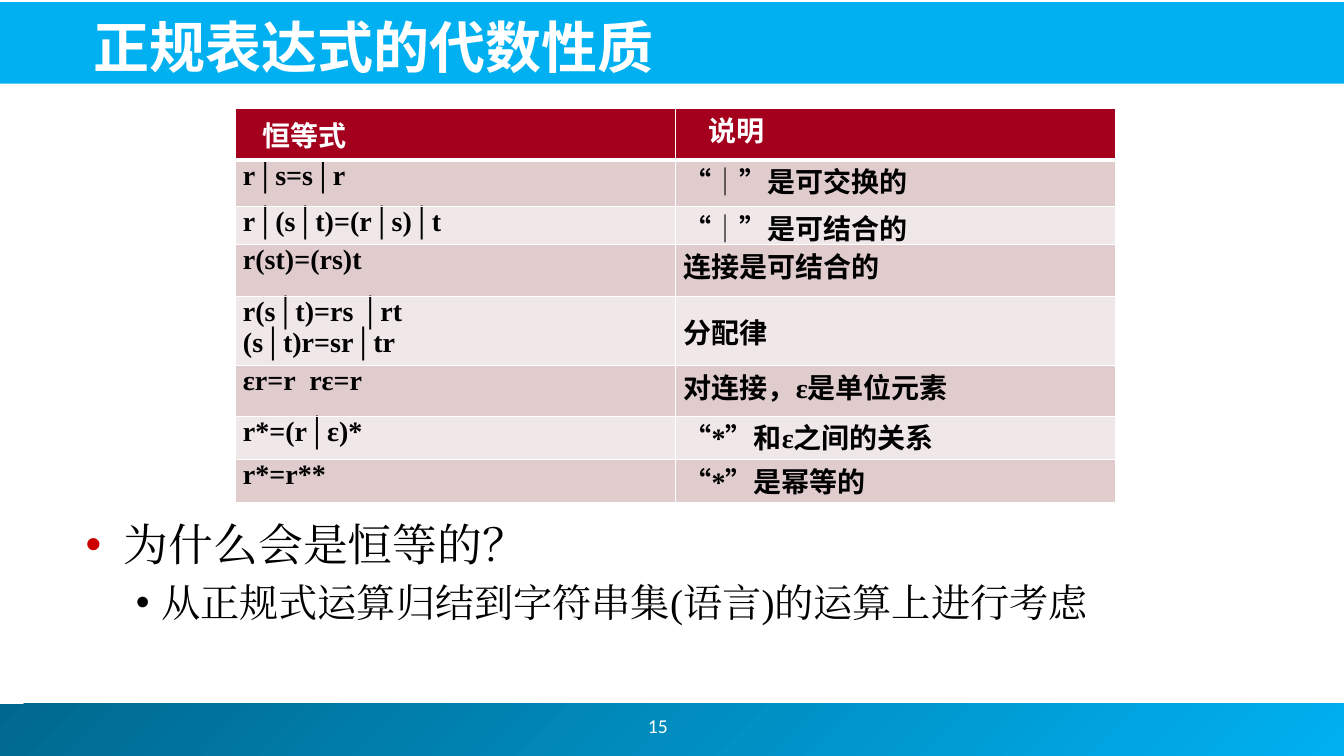
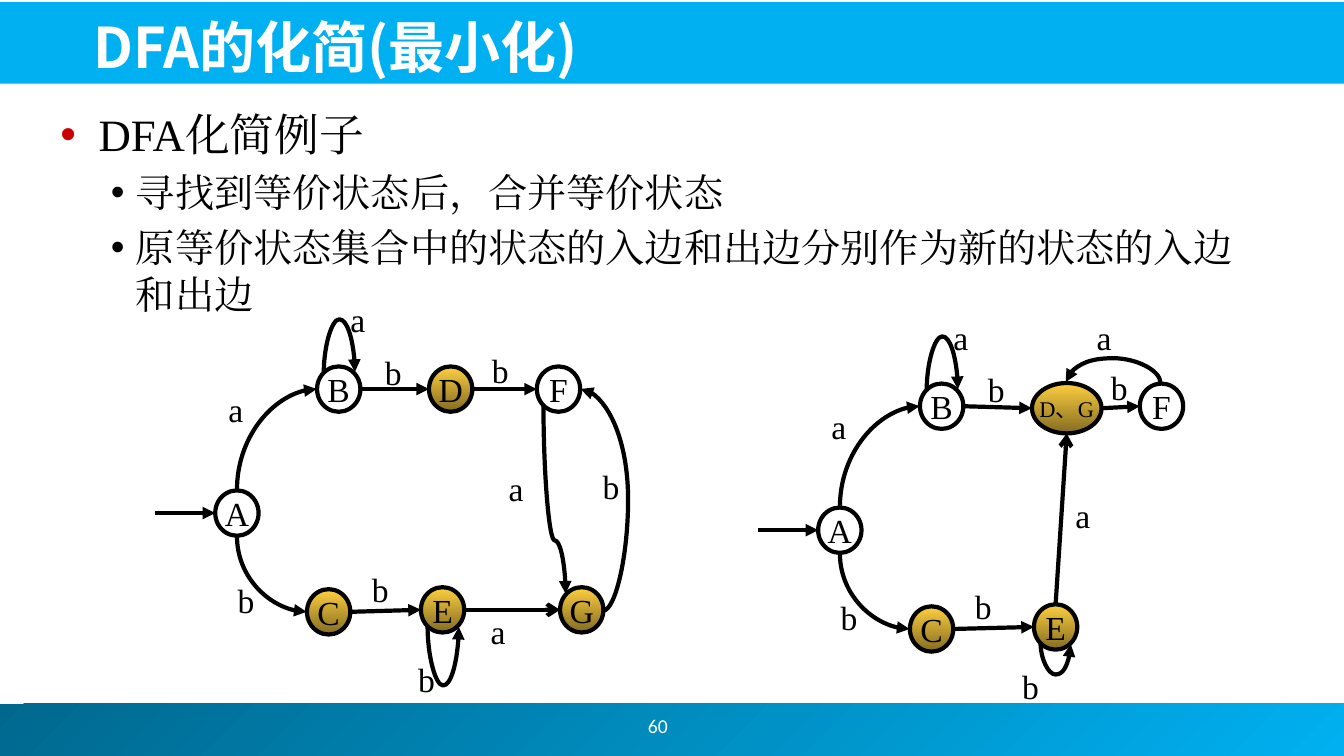
"""Build two lecture slides: a table of regular expression laws and a DFA minimisation example."""
from lxml import etree
from pptx import Presentation
from pptx import util as u
from pptx.dml import color as dml
from pptx.enum import shapes, text
from pptx.oxml import ns

BLACK, WHITE, BLUE, RED = "000000", "FFFFFF", "00B0F0", "CC0000"
SERIF, SANS = "Times New Roman", "Noto Sans CJK JP"
NODE_WIDTH, NODE_HEIGHT = 4.3, 4.5

presentation = Presentation()
presentation.slide_width = u.Inches(13.33)
presentation.slide_height = u.Inches(7.5)
column = presentation.slide_width / 133.3
row = presentation.slide_height / 75


def rgb(hex_string):
    """Turn a hex string into a colour."""
    return dml.RGBColor.from_string(hex_string)


def write(paragraph, words, size, hex_string, asian=SANS, **values):
    """Add one formatted run to a paragraph."""
    run = paragraph.add_run()
    run.text = words
    for name, value in {"name": SERIF, "size": u.Pt(size), **values}.items():
        setattr(run.font, name, value)
    run.font.color.rgb = rgb(hex_string)
    etree.SubElement(run.font._element, ns.qn("a:ea"), typeface=asian)


pages = [
    {"title": "正规表达式的代数性质", "number": "15", "body": (7.5, 50.8, 119.2, 18.3),
     "lines": [(0, "为什么会是恒等的？"),
               (1, "从正规式运算归结到字符串集(语言)的运算上进行考虑")]},
    {"title": "DFA的化简(最小化)", "number": "60", "body": (5, 10.1, 118.9, 22.6),
     "lines": [(0, "DFA化简例子"),
               (1, "寻找到等价状态后，合并等价状态"),
               (1, "原等价状态集合中的状态的入边和出边分别作为新的状态的入边和出边")]},
]
levels = [
    {"size": 32, "margin": 0.38, "hanging": 0.38, "bullet": RED},
    {"size": 28, "margin": 0.75, "hanging": 0.25, "bullet": BLACK},
]
bands = [((-0.5, 69.8, 133.9, 5.2), ["00688E", BLUE]), ((-0.2, 0.2, 133.6, 8.1), [BLUE])]

slides = []
for page in pages:
    slide = presentation.slides.add_slide(presentation.slide_layouts[6])
    slides.append(slide)
    for (left, top, width, height), hues in bands:
        band = slide.shapes.add_shape(
            shapes.MSO_SHAPE.RECTANGLE, int(left * column), int(top * row),
            int(width * column), int(height * row))
        band.shadow.inherit = False
        band.line.fill.background()
        if len(hues) == 1:
            band.fill.solid()
            band.fill.fore_color.rgb = rgb(hues[0])
        else:
            band.fill.gradient()
            band.fill.gradient_angle = 315
            for stop, hue in zip(band.fill.gradient_stops, hues):
                stop.color.rgb = rgb(hue)

    frames = []
    for (left, top, width, height), anchor in [
            ((8.3, 0.5, 120.6, 7.9), text.MSO_ANCHOR.BOTTOM),
            ((50.8, 69.5, 28.9, 5), text.MSO_ANCHOR.MIDDLE),
            (page["body"], text.MSO_ANCHOR.TOP)]:
        box = slide.shapes.add_textbox(
            int(left * column), int(top * row), int(width * column), int(height * row))
        box.text_frame.word_wrap = True
        box.text_frame.vertical_anchor = anchor
        frames.append(box.text_frame)
    title, number, body = frames
    write(title.paragraphs[0], page["title"], 40, WHITE, name=SANS, bold=True)
    number.paragraphs[0].alignment = text.PP_ALIGN.CENTER
    write(number.paragraphs[0], page["number"], 14, WHITE, name="Calibri")

    for index, (level, words) in enumerate(page["lines"]):
        paragraph = body.add_paragraph() if index else body.paragraphs[0]
        style = levels[level]
        paragraph.level = level
        paragraph.space_before = u.Pt(style["size"] / 5)
        properties = paragraph._p.get_or_add_pPr()
        properties.set("marL", str(u.Inches(style["margin"])))
        properties.set("indent", str(-u.Inches(style["hanging"])))
        bullet_color = etree.SubElement(properties, ns.qn("a:buClr"))
        etree.SubElement(bullet_color, ns.qn("a:srgbClr"), val=style["bullet"])
        etree.SubElement(properties, ns.qn("a:buFont"), typeface="Arial")
        etree.SubElement(properties, ns.qn("a:buChar"), char="•")
        write(paragraph, words, style["size"], BLACK, asian=SERIF)

laws = [
    ("恒等式", "说明"),
    ("r│s=s│r", "“│”是可交换的"),
    ("r│(s│t)=(r│s)│t", "“│”是可结合的"),
    ("r(st)=(rs)t", "连接是可结合的"),
    ("r(s│t)=rs │rt\n(s│t)r=sr│tr", "分配律"),
    ("εr=r  rε=r", "对连接，ε是单位元素"),
    ("r*=(r│ε)*", "“*”和ε之间的关系"),
    ("r*=r**", "“*”是幂等的"),
]
row_heights = [5.1, 4.6, 3.8, 5.1, 6.9, 5, 4.3, 4.3]
header_margins = [0.27, 0.33]
centred_cells = [(0, 0), (4, 1)]
table = slides[0].shapes.add_table(
    len(laws), 2, int(23.3 * column), int(10.8 * row),
    int(87.4 * column), int(sum(row_heights) * row)).table
table.first_row = table.horz_banding = False
for r, (height, law) in enumerate(zip(row_heights, laws)):
    table.rows[r].height = int(height * row)
    for c, words in enumerate(law):
        cell = table.cell(r, c)
        margin = 0.08 if r else header_margins[c]
        for name, value in {"margin_left": margin, "margin_right": 0.08,
                            "margin_top": 0, "margin_bottom": 0}.items():
            setattr(cell, name, u.Inches(value))
        if (r, c) in centred_cells:
            cell.vertical_anchor = text.MSO_ANCHOR.MIDDLE
        for side in "LRTB":
            thick = (r, side) in [(0, "B"), (1, "T")]
            border = etree.SubElement(cell._tc.get_or_add_tcPr(), ns.qn("a:ln" + side),
                                      w=str(u.Pt(3 if thick else 1)))
            etree.SubElement(etree.SubElement(border, ns.qn("a:solidFill")),
                             ns.qn("a:srgbClr"), val=WHITE)
        cell.fill.solid()
        cell.fill.fore_color.rgb = rgb(["F0E7E8", "E0CCCD"][r % 2] if r else "A4001D")
        for index, line in enumerate(words.split("\n")):
            paragraph = cell.text_frame.add_paragraph() if index else cell.text_frame.paragraphs[0]
            write(paragraph, line, 20, BLACK if r else WHITE, bold=True)

common_nodes = {"A": (23.5, 50.9), "B": (33.6, 38.6), "C": (32.6, 60.7), "F": (55.4, 38.6)}
common_curves = [
    ("arc", 23.5, 48.6, 31.4, 38.6, None),
    ("arc", 23.5, 53.2, 30.4, 60.7, None),
    ("upright", 32.1, 37.1, 35.2, 36.9, 31.7),
]
common_labels = [("a", 23.4, 40.6), ("b", 39, 36.9), ("b", 24.4, 59.5),
                 ("b", 37.7, 58.4), ("a", 35.5, 31.7)]
automata = [
    {"offset": (0, 0),
     "nodes": {"D": (44.7, 38.6), "E": (43.9, 60.5), "G": (57.7, 60.5)},
     "links": [("B", "D", "triangle"), ("D", "F", "triangle"),
               ("C", "E", "triangle"), ("E", "G", "arrow")],
     "rises": [],
     "curves": [("upright", 42.4, 62.1, 45.5, 62.2, 68.1),
                ("sideways", 59.8, 60.6, 57.6, 38.6, 62.3),
                ("upright", 53.9, 40.2, 56.1, 58.9, 53.6)],
     "labels": [("b", 60.6, 48.2), ("a", 51.2, 48.4), ("a", 49.4, 62.6),
                ("b", 49.6, 36.7), ("b", 42.3, 67.4)]},
    {"offset": (59.8, 1.7),
     "nodes": {"E": (44.9, 60.5), "D、G": (46, 38.8)},
     "links": [("B", "D、G", "triangle"), ("D、G", "F", "triangle"), ("C", "E", "triangle")],
     "rises": [("E", "D、G", "arrow")],
     "curves": [("upright", 43.4, 62, 46.4, 62.2, 65.2),
                ("upright", 55.3, 36.3, 45.9, 36.2, 33.8)],
     "labels": [("a", 49.7, 31.7), ("a", 47.6, 49.4), ("b", 51.2, 36.7), ("b", 42.4, 66.4)]},
]
canvas = slides[1].shapes
for automaton in automata:
    shift_x, shift_y = automaton["offset"]
    nodes = {**common_nodes, **automaton["nodes"]}
    sizes = {name: (6.9, 5) if len(name) > 1 else (NODE_WIDTH, NODE_HEIGHT) for name in nodes}

    for name, (x, y) in nodes.items():
        width, height = sizes[name]
        node = canvas.add_shape(
            shapes.MSO_SHAPE.OVAL, int((x + shift_x - width / 2) * column),
            int((y + shift_y - height / 2) * row), int(width * column), int(height * row))
        node.shadow.inherit = False
        node.line.color.rgb = rgb(BLACK)
        node.line.width = u.Pt(3)
        if name in "ABF":
            node.fill.background()
        else:
            node.fill.gradient()
            node.fill.gradient_angle = 270
            for stop, hue in zip(node.fill.gradient_stops, ["FECF40", "846C21"]):
                stop.color.rgb = rgb(hue)
        node.text_frame.word_wrap = False
        node.text_frame.vertical_anchor = text.MSO_ANCHOR.MIDDLE
        node.text_frame.paragraphs[0].alignment = text.PP_ALIGN.CENTER
        write(node.text_frame.paragraphs[0], name, 16 if len(name) > 1 else 24, BLACK)

    entry_x, entry_y = nodes["A"]
    entry_end = entry_x - NODE_WIDTH / 2
    routes = [("straight", entry_end - 6, entry_y, entry_end, entry_y, None, "triangle")]
    for begin, end, head in automaton["links"]:
        routes.append(("straight", nodes[begin][0] + sizes[begin][0] / 2, nodes[begin][1],
                       nodes[end][0] - sizes[end][0] / 2, nodes[end][1], None, head))
    for begin, end, head in automaton["rises"]:
        routes.append(("straight", nodes[begin][0], nodes[begin][1] - sizes[begin][1] / 2,
                       nodes[end][0], nodes[end][1] + sizes[end][1] / 2, None, head))
    routes += [(*curve, "triangle") for curve in common_curves + automaton["curves"]]

    for kind, x1, y1, x2, y2, bend, head in routes:
        style = shapes.MSO_CONNECTOR.STRAIGHT if kind == "straight" else shapes.MSO_CONNECTOR.CURVE
        connector = canvas.add_connector(
            style, int((x1 + shift_x) * column), int((y1 + shift_y) * row),
            int((x2 + shift_x) * column), int((y2 + shift_y) * row))
        connector.line.color.rgb = rgb(BLACK)
        connector.line.width = u.Pt(3)
        etree.SubElement(connector.line._get_or_add_ln(), ns.qn("a:tailEnd"), type=head)
        properties = connector._element.spPr
        etree.SubElement(properties, ns.qn("a:effectLst"))
        if kind in ("arc", "upright"):
            dx, dy = x2 - x1, y2 - y1
            turn = 270 if dy > 0 or dx < 0 else 90
            along, across = (-dy, dx) if turn == 270 else (dy, -dx)
            middle_x, middle_y = (x1 + x2) / 2 + shift_x, (y1 + y2) / 2 + shift_y
            connector.left = int((middle_x - abs(along) / 2) * column)
            connector.top = int((middle_y - abs(across) / 2) * row)
            connector.width, connector.height = int(abs(along) * column), int(abs(across) * row)
            for name, value in {"rot": turn * 60000, "flipH": int(along < 0),
                                "flipV": int(across < 0)}.items():
                properties.find(ns.qn("a:xfrm")).set(name, str(value))
        geometry = properties.find(ns.qn("a:prstGeom"))
        if kind == "arc":
            geometry.set("prst", "curvedConnector2")
        elif bend is not None:
            share = (bend - y1) / (y2 - y1) if kind == "upright" else (bend - x1) / (x2 - x1)
            etree.SubElement(geometry.find(ns.qn("a:avLst")), ns.qn("a:gd"),
                             name="adj1", fmla=f"val {round(share * 100000)}")

    for letter, x, y in common_labels + automaton["labels"]:
        label = canvas.add_textbox(int((x + shift_x - 1.8) * column),
                                   int((y + shift_y - 2.5) * row), int(3.6 * column), int(5 * row))
        label.text_frame.word_wrap = False
        label.text_frame.vertical_anchor = text.MSO_ANCHOR.MIDDLE
        label.text_frame.paragraphs[0].alignment = text.PP_ALIGN.CENTER
        write(label.text_frame.paragraphs[0], letter, 24, BLACK)

presentation.save("out.pptx")
